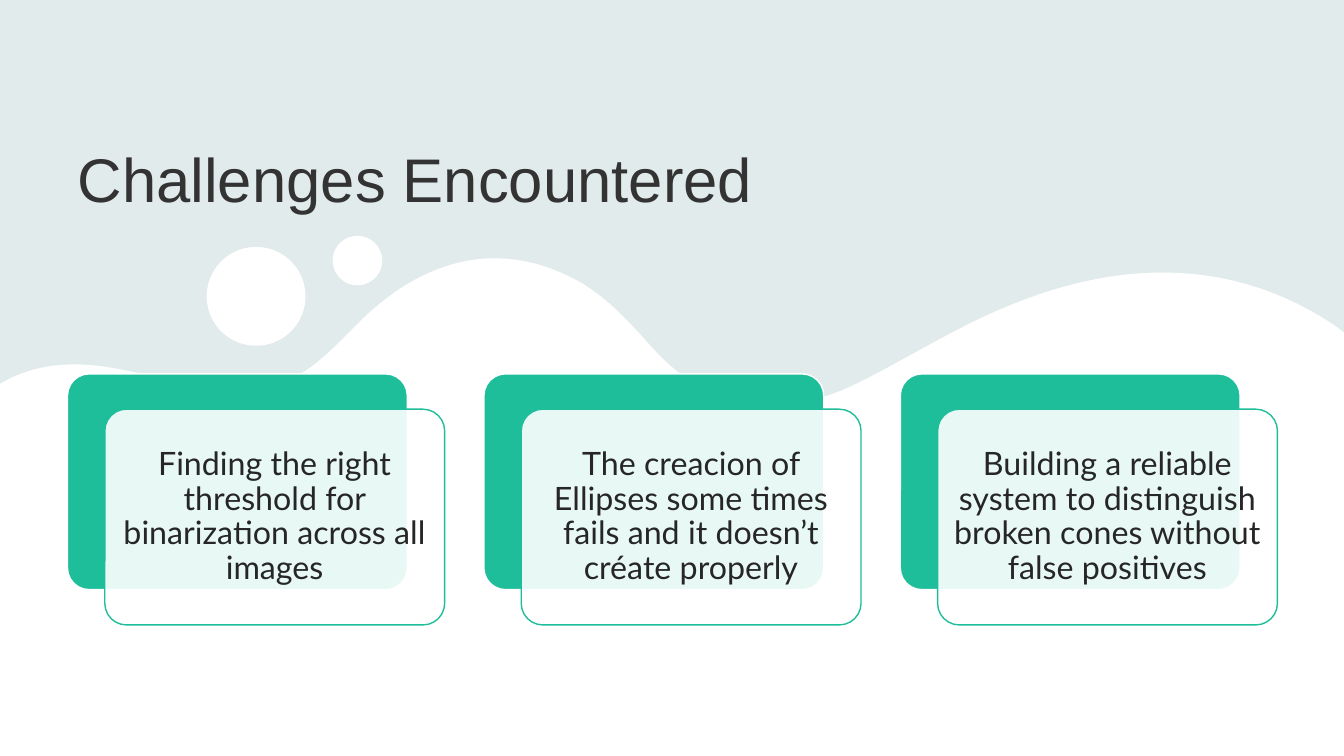
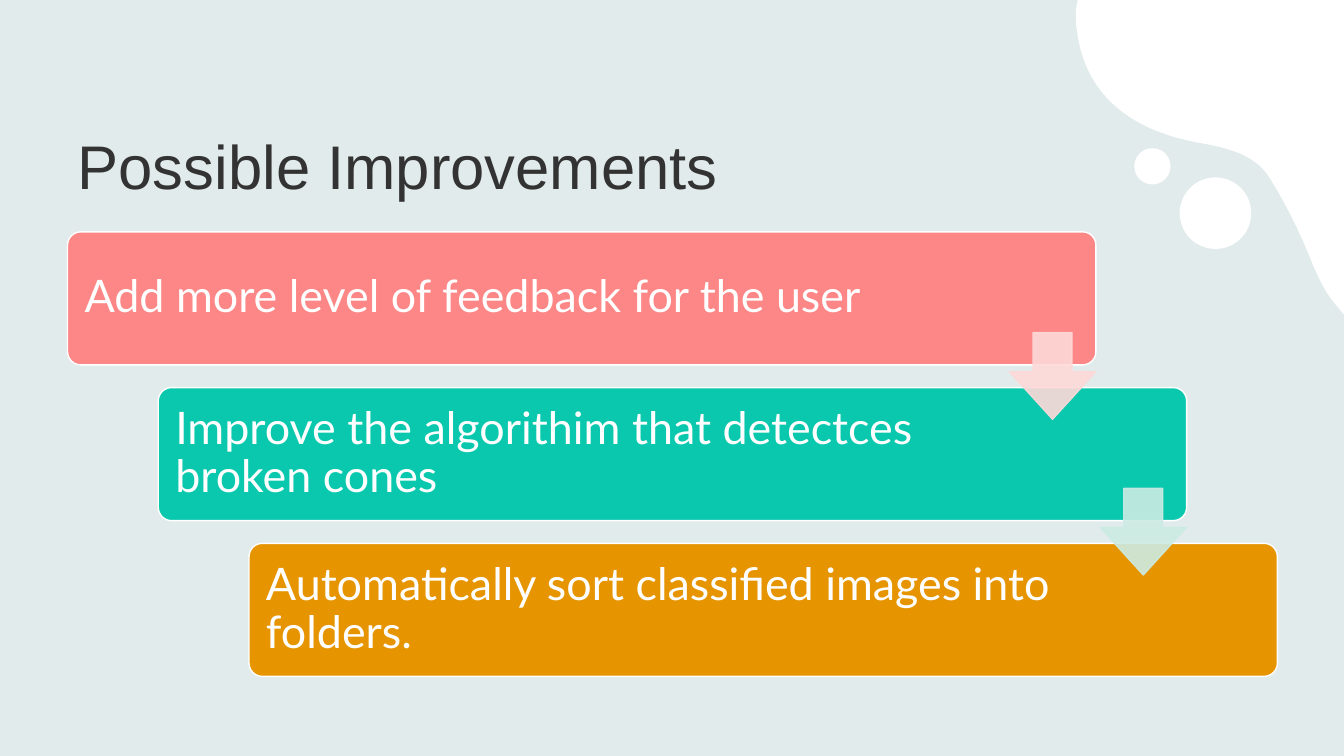
from dataclasses import dataclass

from lxml import etree
from pptx import Presentation
from pptx.dml.color import RGBColor
from pptx.enum.shapes import MSO_SHAPE
from pptx.enum.text import MSO_ANCHOR, MSO_AUTO_SIZE, PP_ALIGN
from pptx.oxml.ns import qn
from pptx.util import Inches, Pt

RECT, OVAL = MSO_SHAPE.RECTANGLE, MSO_SHAPE.OVAL
ROUNDED, DOWN_ARROW = MSO_SHAPE.ROUNDED_RECTANGLE, MSO_SHAPE.DOWN_ARROW
LEFT, CENTER = PP_ALIGN.LEFT, PP_ALIGN.CENTER
MIDDLE, BOTTOM = MSO_ANCHOR.MIDDLE, MSO_ANCHOR.BOTTOM
NO_FIT = MSO_AUTO_SIZE.NONE
TITLE_ONLY = 5
SLIDE_W, SLIDE_H = 13.33, 7.5
CURVE_STEPS = 24


@dataclass(frozen=True)
class Theme:
    back: str = "E9F3F3"
    veil: str = "AEAEAE"
    white: str = "FFFFFF"
    ink: str = "262626"
    card: str = "1EBE9B"
    bars: tuple = ("FD8686", "0AC8AD", "E69500")
    arrows: tuple = ("FED9D9", "CCEBE3")
    title_font: str = "Arial"
    body_font: str = "Lato"
    title_size: int = 44
    card_size: int = 23
    bar_size: int = 32
    line_width: int = 1


T = Theme()

# Outlines in inches: pairs are straight lines, sextuples are cubic curves
HILLS = [
    (13.33, 7.5), (0, 7.5), (0, 3.81), (0.07, 3.77),
    (0.44, 3.58, 0.82, 3.59, 1.22, 3.67),
    (1.65, 3.76, 2.1, 3.83, 2.54, 3.83),
    (2.95, 3.84, 3.23, 3.53, 3.5, 3.26),
    (4.16, 2.57, 4.92, 2.37, 5.68, 2.76),
    (5.98, 2.91, 6.23, 3.18, 6.46, 3.44),
    (7.07, 4.13, 7.82, 4.15, 8.53, 3.79),
    (9.03, 3.54, 9.51, 3.23, 10.04, 3.02),
    (11.17, 2.56, 12.27, 2.58, 13.24, 3.23),
    (13.33, 3.3),
]
CORNER = [
    (13.33, 0), (10.69, 0), (10.67, 0.1),
    (10.67, 0.16, 10.67, 0.23, 10.68, 0.29),
    (10.75, 0.91, 11.18, 1.28, 11.86, 1.41),
    (12.13, 1.46, 12.43, 1.51, 12.59, 1.76),
    (12.76, 2.03, 12.9, 2.32, 13.02, 2.62),
    (13.08, 2.76, 13.14, 2.89, 13.23, 3),
    (13.33, 3.12),
]
# Bubbles: left, top, diameter
HILL_BUBBLES = [(2.05, 2.45, 0.98), (3.3, 2.34, 0.49)]
CORNER_BUBBLES = [(11.7, 1.76, 0.71), (11.25, 1.47, 0.36)]

CHALLENGES = [
    "Finding the right threshold for binarization across all images",
    "The creacion of Ellipses some times fails and it doesn’t créate properly",
    "Building a reliable system to distinguish broken cones without false positives",
]
IMPROVEMENTS = [
    "Add more level of feedback for the user",
    "Improve the algorithim that detectces broken cones",
    "Automatically sort classified images into folders.",
]


def rgb(color):
    return RGBColor.from_string(color)


def set_opacity(sp, where, percent):
    color = sp.element.spPr.find(where)[0]
    etree.SubElement(color, qn("a:alpha")).set("val", str(percent * 1000))


def paint(sp, fill, line=None, opacity=100, line_opacity=100):
    sp.shadow.inherit = False
    sp.fill.solid()
    sp.fill.fore_color.rgb = rgb(fill)
    if line:
        sp.line.color.rgb = rgb(line)
        sp.line.width = Pt(T.line_width)
    else:
        sp.line.fill.background()
    if opacity < 100:
        set_opacity(sp, qn("a:solidFill"), opacity)
    if line_opacity < 100:
        set_opacity(sp, qn("a:ln") + "/" + qn("a:solidFill"), line_opacity)


def add_shape(s, kind, box, fill, adjust=(), **look):
    sp = s.shapes.add_shape(kind, *(Inches(v) for v in box))
    for i, value in enumerate(adjust):
        sp.adjustments[i] = value
    paint(sp, fill, **look)
    return sp


def write(sp, text, *, size, font=T.body_font, color=T.ink, align=LEFT,
          anchor=MIDDLE, spacing=0.9, insets=(0.1, 0.05, 0.1, 0.05)):
    tf = sp.text_frame
    tf.word_wrap = True
    tf.auto_size = NO_FIT
    tf.vertical_anchor = anchor
    (tf.margin_left, tf.margin_top,
     tf.margin_right, tf.margin_bottom) = (Inches(v) for v in insets)
    p = tf.paragraphs[0]
    p.alignment = align
    p.line_spacing = spacing
    r = p.add_run()
    r.text = text
    r.font.name, r.font.size = font, Pt(size)
    r.font.color.rgb = rgb(color)


def flatten(outline):
    """Turn an outline of lines and cubic curves into points."""
    points = [outline[0]]
    for seg in outline[1:]:
        if len(seg) == 2:
            points.append(seg)
            continue
        start = points[-1]
        ctrl = [start, seg[:2], seg[2:4], seg[4:]]
        for i in range(1, CURVE_STEPS + 1):
            t = i / CURVE_STEPS
            u = 1 - t
            weights = (u ** 3, 3 * u * u * t, 3 * u * t * t, t ** 3)
            points.append(tuple(sum(w * c[axis] for w, c in zip(weights, ctrl))
                                for axis in (0, 1)))
    return points


def add_blob(s, outline, bubbles):
    points = [(Inches(x), Inches(y)) for x, y in flatten(outline)]
    builder = s.shapes.build_freeform(*points[0])
    builder.add_line_segments(points[1:], close=True)
    paint(builder.convert_to_shape(), T.white)
    for x, y, d in bubbles:
        add_shape(s, OVAL, (x, y, d, d), T.white)


def add_base(prs, title, title_h, outline, bubbles):
    """Slide with veil, white decoration and title."""
    s = prs.slides.add_slide(prs.slide_layouts[TITLE_ONLY])
    add_shape(s, RECT, (0, 0, SLIDE_W, SLIDE_H), T.veil, opacity=10)
    add_blob(s, outline, bubbles)
    sp = s.shapes.title
    sp.left, sp.top, sp.width, sp.height = (
        Inches(v) for v in (0.67, 0.61, 12, title_h))
    write(sp, title, size=T.title_size, font=T.title_font, anchor=BOTTOM)
    return s


def add_cards(s, box, texts):
    """Row of panels, each with a translucent card shifted over it."""
    x, y, w, h = box
    dx, dy, card_w = 0.37, 0.35, 3.37
    card_h = h - dy
    pitch = (w - card_w - dx) / (len(texts) - 1)
    for i, text in enumerate(texts):
        left = x + i * pitch
        add_shape(s, ROUNDED, (left, y, card_w, card_h), T.card,
                  adjust=[0.1], line=T.white)
        sp = add_shape(s, ROUNDED, (left + dx, y + dy, card_w, card_h), T.white,
                       adjust=[0.1], line=T.card, opacity=90)
        write(sp, text, size=T.card_size, align=CENTER, insets=(0.1,) * 4)


def add_staircase(s, box, texts):
    """Bars stepping down to the right, joined by arrows."""
    x, y, w, h = box
    bar_w, bar_h, arrow = 10.2, 1.32, 0.86
    steps = len(texts) - 1
    corners = [(x + i * (w - bar_w) / steps, y + i * (h - bar_h) / steps)
               for i in range(len(texts))]
    for (left, top), text, color in zip(corners, texts, T.bars):
        sp = add_shape(s, ROUNDED, (left, top, bar_w, bar_h), color,
                       adjust=[0.1], line=T.white)
        write(sp, text, size=T.bar_size, color=T.white,
              insets=(0.13, 0.13, 1.89, 0.13))
    for (left, top), color in zip(corners, T.arrows):
        add_shape(s, DOWN_ARROW,
                  (left + bar_w - arrow, top + 1, arrow, arrow), color,
                  adjust=[0.45, 0.55], line=color, opacity=90, line_opacity=90)


def main():
    prs = Presentation()
    prs.slide_width, prs.slide_height = Inches(SLIDE_W), Inches(SLIDE_H)
    back = prs.slide_master.background.fill
    back.solid()
    back.fore_color.rgb = rgb(T.back)

    # Challenges
    s = add_base(prs, "Challenges Encountered", 1.58, HILLS, HILL_BUBBLES)
    add_cards(s, (0.67, 3.71, 12, 2.49), CHALLENGES)

    # Improvements
    s = add_base(prs, "Possible Improvements", 1.45, CORNER, CORNER_BUBBLES)
    add_staircase(s, (0.67, 2.3, 12, 4.41), IMPROVEMENTS)

    prs.save("out.pptx")


if __name__ == "__main__":
    main()
